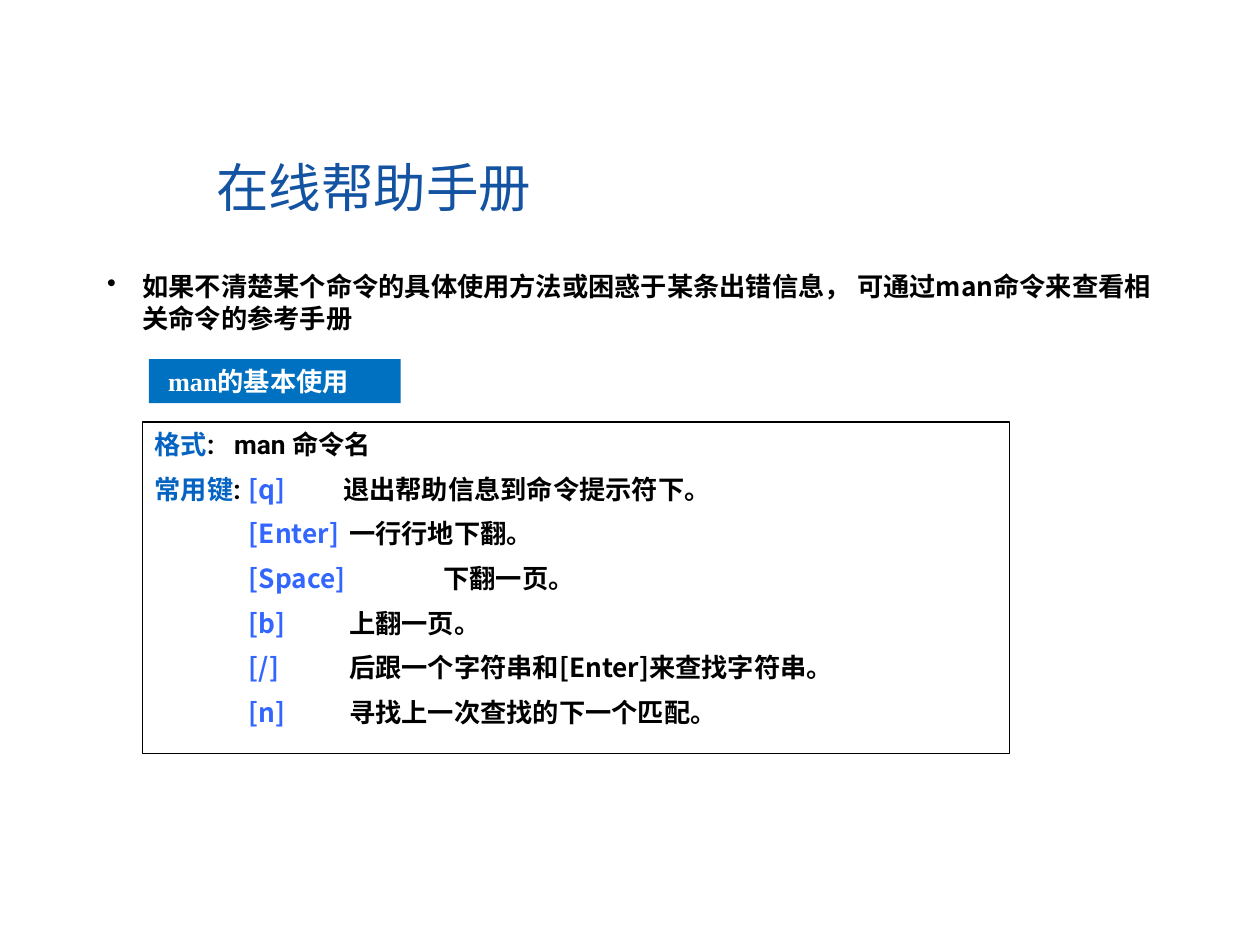
import pptx
import pptx.dml.color
import pptx.enum.shapes
import pptx.enum.text
import pptx.oxml.ns
import pptx.util
from dataclasses import dataclass
from lxml import etree
from pptx.util import Cm, Pt


@dataclass(frozen=True)
class Theme:
    title: str = "1353A2"
    body: str = "000000"
    badge: str = "0070C0"
    on_badge: str = "FFFFFF"
    label: str = "0563C1"
    key: str = "3366FF"
    title_size: int = 30
    body_size: int = 15
    sans: str = "Noto Sans CJK SC"
    alternate: str = "Roboto"
    serif: str = "Times New Roman"


THEME = Theme()
ANCHOR = pptx.enum.text.MSO_ANCHOR


def add_text(para, text, *, color=THEME.body, size=THEME.body_size, bold=True, font=THEME.sans):
    span = para.add_run()
    span.text = text
    span.font.size = Pt(size)
    span.font.bold = bold
    span.font.color.rgb = pptx.dml.color.RGBColor.from_string(color)
    span.font.name = font
    east_asian = etree.SubElement(span.font._element, pptx.oxml.ns.qn("a:ea"))
    east_asian.set("typeface", THEME.sans)


def add_box(left, top, width, height, *, anchor=ANCHOR.TOP, fill=None, line=None):
    """Add a plain rectangle with left-aligned, wrapping text."""
    box = slide.shapes.add_shape(
        pptx.enum.shapes.MSO_SHAPE.RECTANGLE, Cm(left), Cm(top), Cm(width), Cm(height))
    box.shadow.inherit = False
    for paint, color in ((box.fill, fill), (box.line.fill, line)):
        if color:
            paint.solid()
            paint.fore_color.rgb = pptx.dml.color.RGBColor.from_string(color)
        else:
            paint.background()
    if line:
        box.line.width = Pt(0.75)
    box.text_frame.word_wrap = True
    box.text_frame.vertical_anchor = anchor
    box.text_frame.paragraphs[0].alignment = pptx.enum.text.PP_ALIGN.LEFT
    return box


deck = pptx.Presentation()
deck.slide_width, deck.slide_height = Cm(25.4), Cm(19.05)
slide = deck.slides.add_slide(deck.slide_layouts[6])

# Title
title = add_box(4.11, 2.95, 17.15, 1.78, anchor=ANCHOR.MIDDLE)
para = title.text_frame.paragraphs[0]
para.line_spacing = 0.9
add_text(para, "在线帮助手册", color=THEME.title, size=THEME.title_size, bold=False)

# Introductory bullet
intro = add_box(1.91, 5.33, 21.85, 1.55)
para = intro.text_frame.paragraphs[0]
para.line_spacing = Pt(18)
properties = para._p.get_or_add_pPr()
properties.set("marL", str(Cm(0.71)))
properties.set("indent", str(Cm(-0.71)))
bullet = etree.SubElement(properties, pptx.oxml.ns.qn("a:buChar"))
bullet.set("char", "•")
add_text(para, "如果不清楚某个命令的具体使用方法或困惑于某条出错信息，")
add_text(para, " 可通过", font=THEME.alternate)
add_text(para, "man命令来查看相关命令的参考手册")

# Section badge
badge = add_box(3, 7.24, 5.08, 0.89, anchor=ANCHOR.MIDDLE, fill=THEME.badge)
badge.text_frame.margin_left = Cm(0.39)
add_text(badge.text_frame.paragraphs[0], "man的基本使用",
         color=THEME.on_badge, font=THEME.serif)

# Usage panel: each line is a list of (text, color, font)
key_help = [
    ("[Enter]", "一行行地下翻。"),
    ("[Space]", "下翻一页。"),
    ("[b]", "上翻一页。"),
    ("[/]", "后跟一个字符串和[Enter]来查找字符串。"),
    ("[n]", "寻找上一次查找的下一个匹配。"),
]
usage_lines = [
    [("格式", THEME.label, THEME.alternate), (":\tman 命令名", THEME.body, THEME.alternate)],
    [("常用键", THEME.label, THEME.alternate), (":\t", THEME.body, THEME.alternate),
     ("[q]\t", THEME.key, THEME.sans), ("退出帮助信息到命令提示符下。", THEME.body, THEME.sans)],
]
for key, meaning in key_help:
    usage_lines.append([(f"\t{key}\t ", THEME.key, THEME.sans), (meaning, THEME.body, THEME.sans)])

panel = add_box(2.87, 8.51, 17.48, 6.68, line=THEME.body)
for index, spans in enumerate(usage_lines):
    frame = panel.text_frame
    para = frame.add_paragraph() if index else frame.paragraphs[0]
    para.alignment = pptx.enum.text.PP_ALIGN.LEFT
    para.line_spacing = Pt(18)
    if index:
        para.space_before = Pt(7.5)
    stops = [1.9, 3.8, 5.7] if index else [1.6]
    tabs = etree.SubElement(para._p.get_or_add_pPr(), pptx.oxml.ns.qn("a:tabLst"))
    for stop in stops:
        etree.SubElement(tabs, pptx.oxml.ns.qn("a:tab"), pos=str(Cm(stop)), algn="l")
    for text, color, font in spans:
        add_text(para, text, color=color, font=font)

deck.save("out.pptx")
